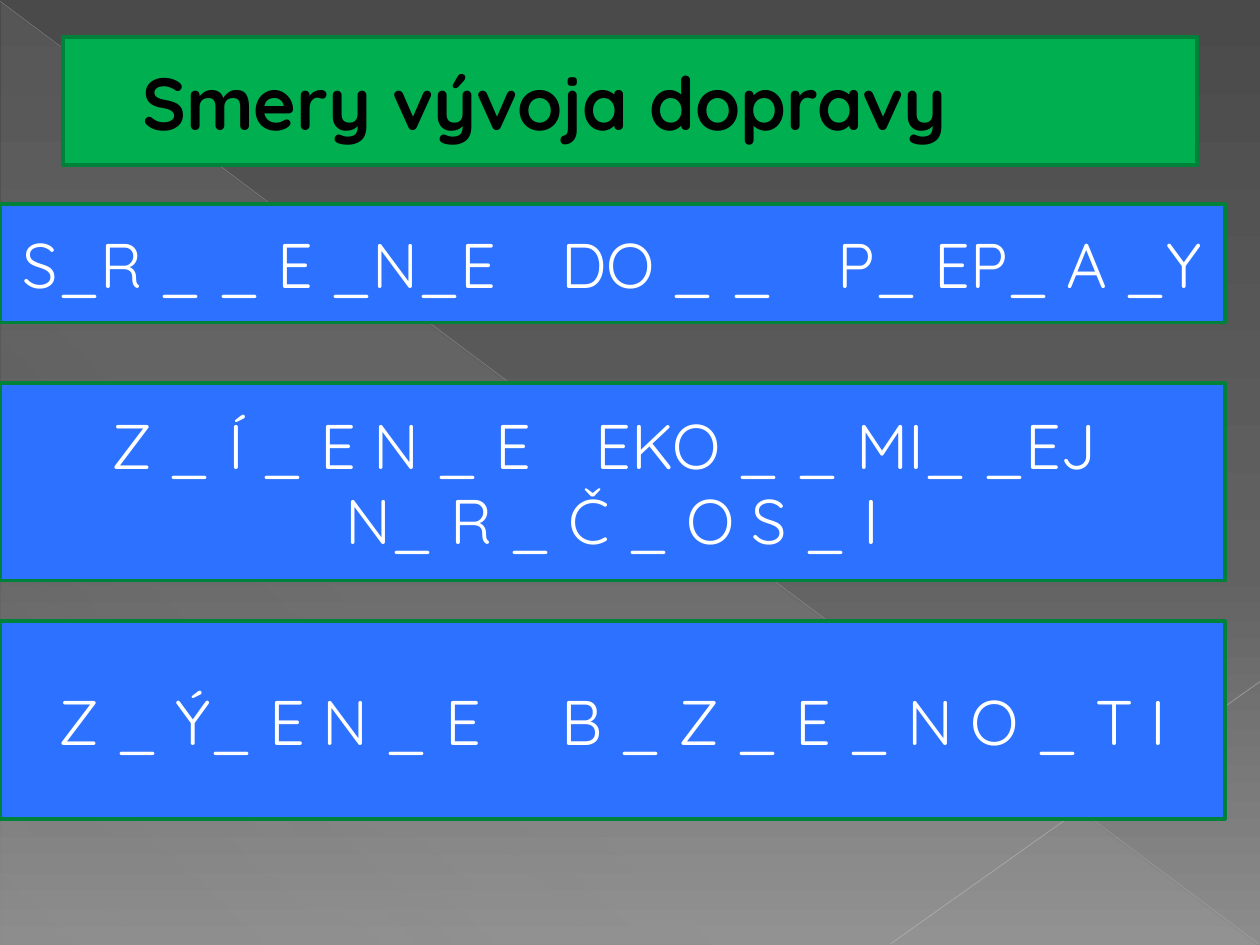
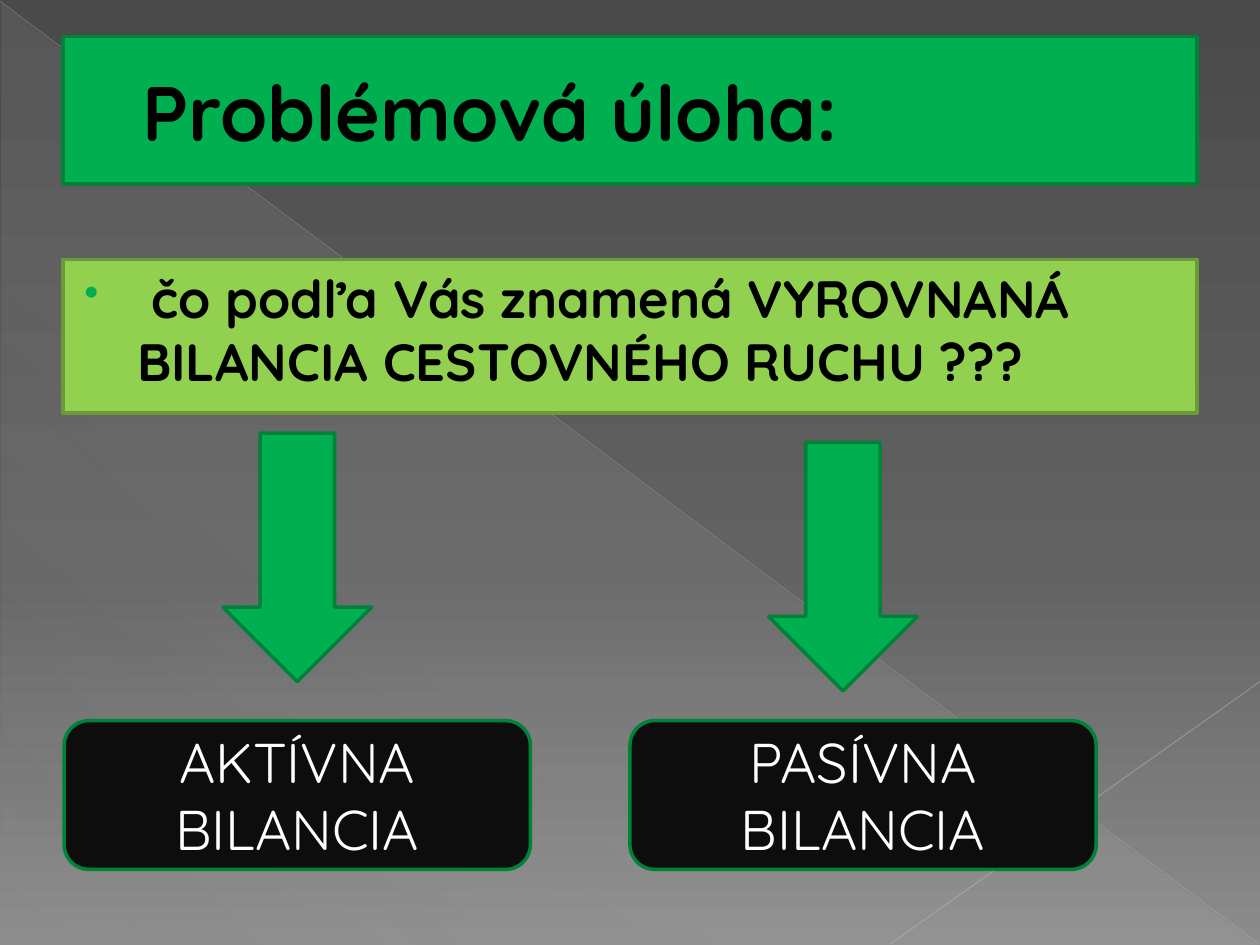
from dataclasses import dataclass
from lxml.etree import SubElement as Sub
from pptx import Presentation
from pptx.dml.color import RGBColor as Rgb
from pptx.enum.shapes import MSO_CONNECTOR as Link, MSO_SHAPE as Kind
from pptx.enum.text import MSO_ANCHOR as Anchor, PP_ALIGN as Align
from pptx.oxml.ns import qn
from pptx.util import Pt


@dataclass(frozen=True)
class Theme:
    font: str = "Quicksand"
    green: str = "00B050"
    edge: str = "00823B"
    blue: str = "2C71FF"
    lime: str = "92D050"
    olive: str = "6C9A3B"
    black: str = "000000"
    dark: str = "0D0D0D"
    white: str = "FFFFFF"
    veil: str = "D2D2D2"
    back: tuple = ((0, "4A4A4A", 100), (60, "626262", 100), (100, "8C8C8C", 100))
    rays: tuple = (
        (0, 0.7, 719.3, 539.3, "BFBFBF", 0.39, 35),
        (720, 389.5, 509, 539.3, "C6C6C6", 0.47, 45),
    )
    puzzle: int = 36
    task: int = 30
    label: int = 32
    stroke: int = 2


T = Theme()


def clear(color, alpha):
    Sub(color, qn("a:alpha"), val=str(alpha * 1000))


def blend(fill, owner, stops, angle):
    fill.gradient()
    node = next(owner.iter(qn("a:gradFill")))
    node.clear()
    group = Sub(node, qn("a:gsLst"))
    for pos, color, alpha in stops:
        stop = Sub(group, qn("a:gs"), pos=str(pos * 1000))
        clear(Sub(stop, qn("a:srgbClr"), val=color), alpha)
    Sub(node, qn("a:lin"), ang=str(angle * 60000), scaled="0")


def block(slide, kind, box, fill, edge=T.edge):
    shape = slide.shapes.add_shape(kind, *map(Pt, box))
    shape.shadow.inherit = False
    if fill:
        shape.fill.solid()
        shape.fill.fore_color.rgb = Rgb.from_string(fill)
    if edge:
        shape.line.color.rgb = Rgb.from_string(edge)
        shape.line.width = Pt(T.stroke)
    else:
        shape.line.fill.background()
    return shape


def write(shape, *lines, size, color=T.white, bold=False, align=Align.CENTER,
          anchor=Anchor.MIDDLE, left=0, hang=0, bullet=None):
    frame = shape.text_frame
    frame.word_wrap = True
    frame.vertical_anchor = anchor
    for i, line in enumerate(lines):
        para = frame.add_paragraph() if i else frame.paragraphs[0]
        para.alignment = align
        props = para._p.get_or_add_pPr()
        props.set("marL", str(Pt(left)))
        props.set("indent", str(Pt(hang)))
        if bullet:
            Sub(Sub(props, qn("a:buClr")), qn("a:srgbClr"), val=T.green)
            Sub(props, qn("a:buSzPct"), val="80000")
            Sub(props, qn("a:buChar"), char=bullet)
        for part in [line] if isinstance(line, str) else line:
            run = para.add_run()
            run.text = part if isinstance(part, str) else " "
            font = run.font
            font.name, font.size, font.bold = T.font, Pt(size), bold
            font.color.rgb = Rgb.from_string(color)
            if not isinstance(part, str):
                wide = (part - 1) * size * 25
                run._r.get_or_add_rPr().set("spc", str(int(wide)))


def stage(deck):
    slide = deck.slides.add_slide(deck.slide_layouts[6])
    blend(slide.background.fill, slide.element, T.back, 90)
    veil = block(slide, Kind.RIGHT_TRIANGLE, (0.7, 1.4, 718.6, 538.6), None, None)
    stops = [(0, T.veil, 10), (70, T.veil, 8), (100, T.veil, 1)]
    blend(veil.fill, veil.element, stops, 133)
    for *ends, color, width, alpha in T.rays:
        ray = slide.shapes.add_connector(Link.STRAIGHT, *map(Pt, ends))
        ray.line.color.rgb = Rgb.from_string(color)
        ray.line.width = Pt(width)
        clear(next(ray.element.iter(qn("a:srgbClr"))), alpha)
        Sub(ray.element.spPr, qn("a:effectLst"))
    return slide


def title(slide, text, high, size):
    shape = block(slide, Kind.RECTANGLE, (36, 21, 648, high), T.green)
    write(shape, text, size=size, color=T.black, bold=True,
          align=Align.LEFT, left=38.2)


def strip(slide, box, *lines):
    shape = block(slide, Kind.RECTANGLE, box, T.blue)
    write(shape, *lines, size=T.puzzle)


def task(slide, box, text):
    shape = block(slide, Kind.RECTANGLE, box, T.lime, T.olive)
    write(shape, text, size=T.task, color=T.black, bold=True,
          align=Align.LEFT, anchor=Anchor.TOP, left=35.3, hang=-30.2, bullet="•")


def branch(slide, box, text, shift, drop):
    x, y, wide, high = box
    span, tall = 85, 142
    arrow = (x + (wide - span) / 2 + shift, y - tall - drop, span, tall)
    block(slide, Kind.DOWN_ARROW, arrow, T.green)
    card = block(slide, Kind.ROUNDED_RECTANGLE, box, T.dark)
    write(card, text, size=T.label)


def trends(deck):
    slide = stage(deck)
    title(slide, "Smery vývoja dopravy", 73.4, 42)
    strip(slide, (0, 116.7, 700, 67.7),
          ["S_R _ _ E _N_E", 4, "DO _ _", 4, "P_ EP_ A _Y"])
    strip(slide, (0, 218.9, 700, 113),
          ["Z _ Í _ E N _ E", 4, "EKO _ _ MI_ _EJ", 2],
          "N_ R _ Č _ O S _ I")
    strip(slide, (0, 355, 700, 113),
          ["Z _ Ý_ E N _ E", 5, "B _ Z _ E _ N O _ T I"])


def problem(deck):
    slide = stage(deck)
    title(slide, "Problémová úloha:", 84.2, 44)
    task(slide, (36, 148.3, 648, 87.8),
         " čo podľa Vás znamená VYROVNANÁ BILANCIA CESTOVNÉHO RUCHU ???")
    branch(slide, (36.7, 411.8, 266.4, 85), "AKTÍVNA BILANCIA", 0, 22.3)
    branch(slide, (360, 411.8, 266.4, 85), "PASÍVNA BILANCIA", -11.5, 17)


def main():
    deck = Presentation()
    deck.slide_width, deck.slide_height = Pt(720), Pt(540)
    trends(deck)
    problem(deck)
    deck.save("out.pptx")


if __name__ == "__main__":
    main()
